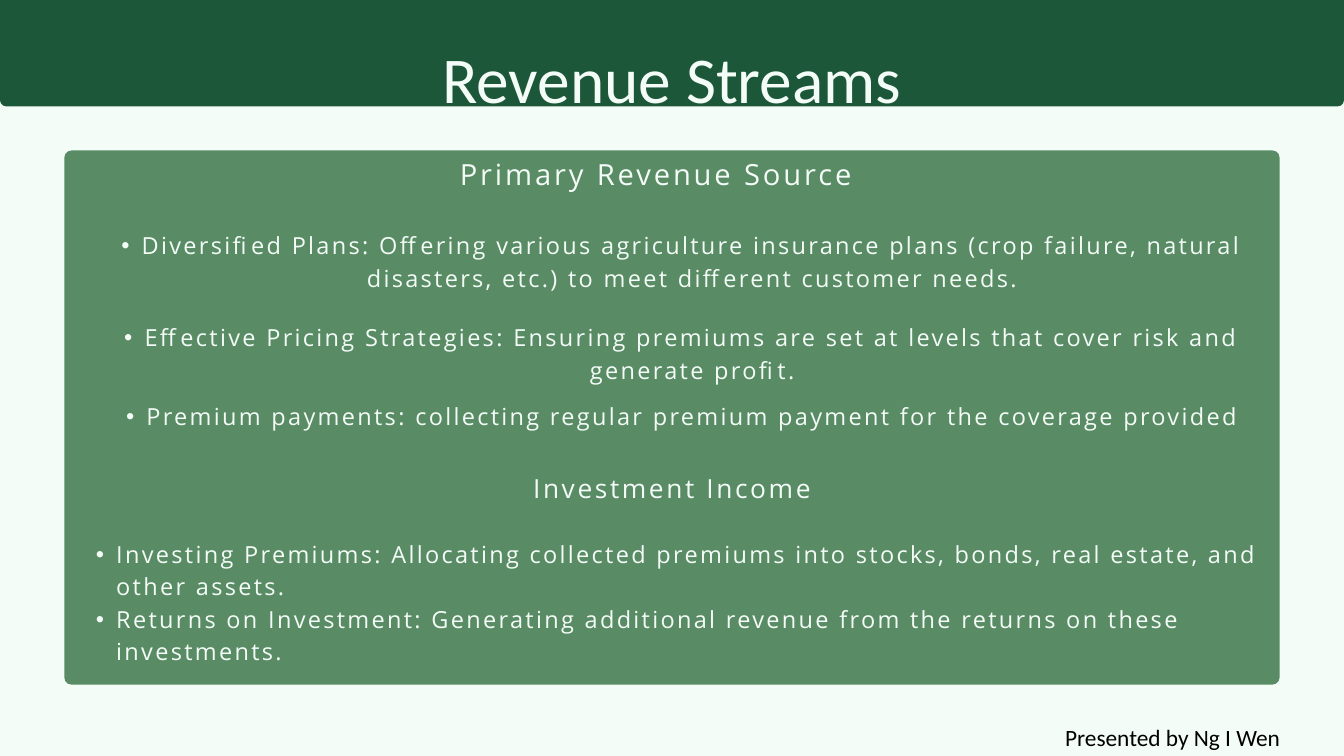
from lxml.etree import SubElement
from pptx import Presentation
from pptx.dml.color import RGBColor
from pptx.enum.shapes import MSO_SHAPE as Shape
from pptx.enum.text import MSO_ANCHOR as Anchor, PP_ALIGN as Align
from pptx.oxml.ns import qn
from pptx.util import Emu, Pt

EMU_PER_PX = 9525  # 96 px to the inch
COLORS = {"mint": "F3FCF7", "leaf": "598B65", "forest": "1C5739", "black": "000000"}
BODY_SIZE, BODY_LEADING = 25.2, 34.8

# Offset from the panel top, box height, text
SOURCES = [
    (109, 137, "Diversified Plans: Offering various agriculture insurance plans "
               "(crop failure, natural disasters, etc.) to meet different customer needs."),
    (241, 137, "Effective Pricing Strategies: Ensuring premiums are set at levels "
               "that cover risk and generate profit."),
    (353, 45, "Premium payments: collecting regular premium payment for the coverage provided"),
]
INVESTMENTS = [
    "Investing Premiums: Allocating collected premiums into stocks, bonds, "
    "real estate, and other assets.",
    "Returns on Investment: Generating additional revenue from the returns "
    "on these investments.",
]


def px(length):
    return Emu(length * EMU_PER_PX)


def rgb(name):
    return RGBColor.from_string(COLORS[name])


def add_card(slide, box, color, radius):
    card = slide.shapes.add_shape(Shape.ROUNDED_RECTANGLE, *map(px, box))
    card.adjustments[0] = radius / min(box[2:])
    card.shadow.inherit = False
    card.fill.solid()
    card.fill.fore_color.rgb = rgb(color)
    card.line.fill.background()


def add_frame(slide, box):
    frame = slide.shapes.add_textbox(*map(px, box)).text_frame
    frame.word_wrap = True
    frame.vertical_anchor = Anchor.TOP
    frame.margin_left = frame.margin_right = frame.margin_top = frame.margin_bottom = 0
    return frame


def write(paragraph, text, size, leading, font="Open Sans", color="mint",
          tracking=0, align=Align.CENTER):
    paragraph.alignment = align
    paragraph.line_spacing = Pt(leading)
    run = paragraph.add_run()
    run.text = text
    run.font.size = Pt(size)
    run.font.name = font
    run.font.color.rgb = rgb(color)
    if tracking:
        run.font._element.set("spc", str(round(tracking * 100)))


def write_bullet(paragraph, text, align):
    properties = paragraph._p.get_or_add_pPr()
    properties.set("marL", str(px(58)))
    properties.set("indent", str(px(-29)))
    SubElement(properties, qn("a:buFont"), typeface="Arial")
    SubElement(properties, qn("a:buChar"), char="•")
    paragraph.level = 1
    write(paragraph, text, BODY_SIZE, BODY_LEADING, tracking=2.5, align=align)


def add_header(slide, box):
    """Band that runs past the top edge, so only its lower corners look round."""
    left, top, width, height = box
    add_card(slide, box, "forest", 9)
    title = add_frame(slide, (left + 465, top + 211, width - 930, 110))
    write(title.paragraphs[0], "Revenue Streams", 70, 84, font="Calibri")


def add_revenue_panel(slide, box):
    left, top, width, height = box
    add_card(slide, box, "leaf", 10)

    heading = add_frame(slide, (left + 430, top + 1, 830, 56))
    write(heading.paragraphs[0], "Primary Revenue Source", 31.2, 43.1, tracking=3.1)

    text_left, text_width = left + 16, width - 32
    for offset, box_height, source in SOURCES:
        frame = add_frame(slide, (text_left, top + offset, text_width, box_height))
        write_bullet(frame.paragraphs[0], source, Align.CENTER)

    income = add_frame(slide, (text_left, top + 452, text_width, 278))
    write(income.paragraphs[0], "Investment Income", 28.2, 39, tracking=2.8)
    for index, investment in enumerate(INVESTMENTS):
        paragraph = income.add_paragraph()
        write_bullet(paragraph, investment, Align.LEFT)
        if index == 0:
            paragraph.space_before = Pt(BODY_LEADING)


def add_presenter(slide, box):
    presenter = add_frame(slide, box)
    write(presenter.paragraphs[0], "Presented by Ng I Wen", 25, 35,
          font="Calibri", color="black")


def main():
    deck = Presentation()
    deck.slide_width, deck.slide_height = px(1920), px(1080)
    slide = deck.slides.add_slide(deck.slide_layouts[6])
    slide.background.fill.solid()
    slide.background.fill.fore_color.rgb = rgb("mint")

    add_revenue_panel(slide, (92, 215, 1736, 763))
    add_header(slide, (0, -157, 1920, 309))
    add_presenter(slide, (1430, 1026, 490, 43))
    deck.save("out.pptx")


if __name__ == "__main__":
    main()
